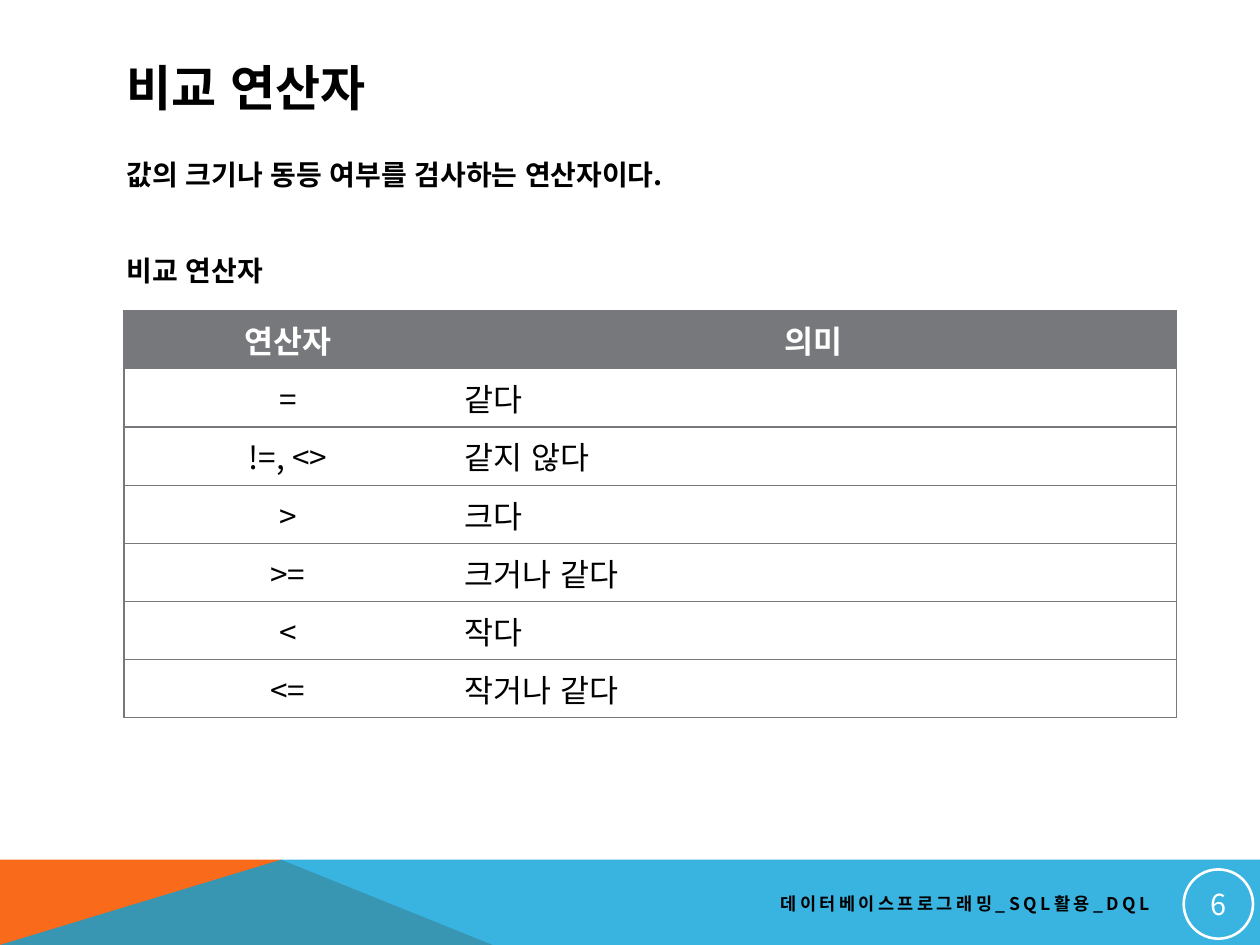
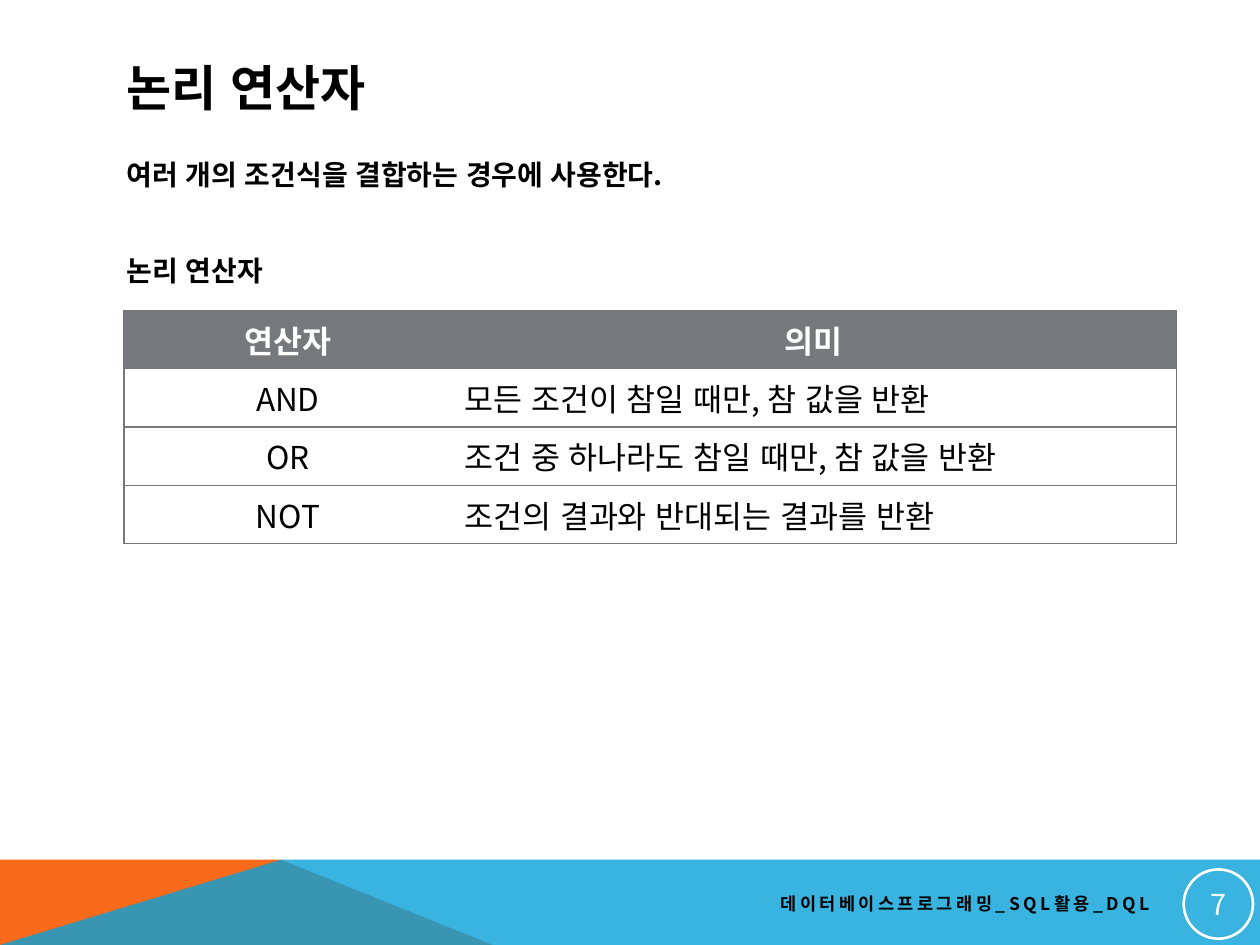
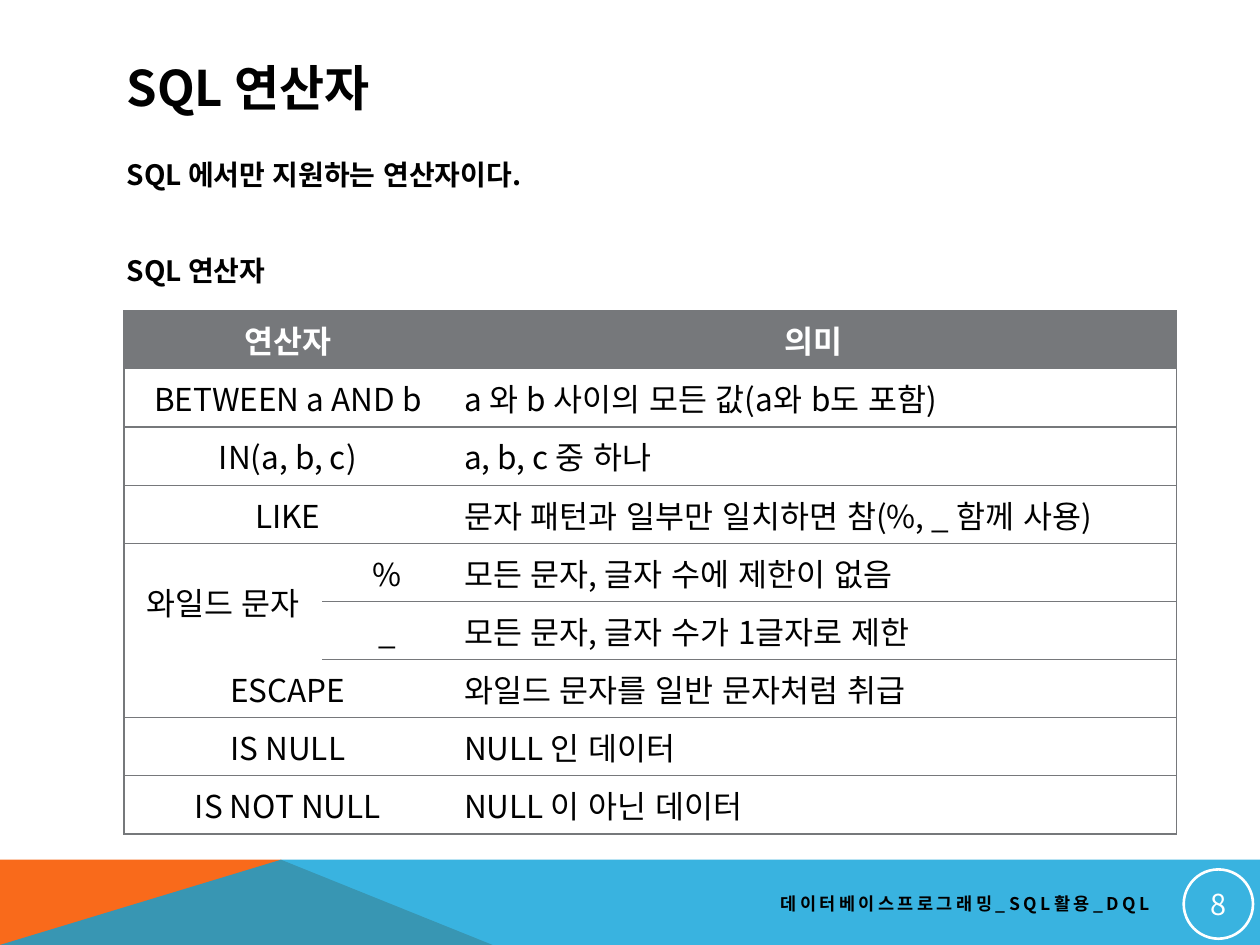
import dataclasses
import typing

import lxml.etree
import pptx
import pptx.dml.color
import pptx.enum.lang
import pptx.enum.shapes
import pptx.enum.text
import pptx.oxml.ns
import pptx.util

Pt = pptx.util.Pt
RGB = pptx.dml.color.RGBColor.from_string
Align = pptx.enum.text.PP_ALIGN
MIDDLE = pptx.enum.text.MSO_ANCHOR.MIDDLE
KOREAN = pptx.enum.lang.MSO_LANGUAGE_ID.KOREAN
qn = pptx.oxml.ns.qn


@dataclasses.dataclass(frozen=True)
class Theme:
    font: str = "Noto Sans CJK KR"
    black: str = "000000"
    white: str = "FFFFFF"
    gray: str = "76787B"
    orange: str = "F96A1B"
    blue: str = "08A1D9"
    title: float = 28
    body: float = 16
    cell: float = 18
    footer: float = 10
    number: float = 16.5
    rule: float = 0.75
    tight: float = 0.9


@dataclasses.dataclass(frozen=True)
class Band:
    points: tuple[tuple[float, float], ...]
    color: str
    alpha: int = 100


@dataclasses.dataclass(frozen=True)
class Page:
    """In rows, None joins a cell to its left neighbour, or in the first column to the cell above."""
    number: int
    title: str
    lead: str
    widths: tuple[float, ...]
    rows: tuple[tuple[typing.Optional[str], ...], ...]


THEME = Theme()
WIDE, HIGH, TOP, PEAK = 720, 540, 491.3, 160.6
FOOTER = "데이터베이스프로그래밍_SQL활용_DQL"
NO_STYLE = "{2D5ABB26-0587-4C30-8999-92F81FD0307C}"
LEFT, START, ROW = 70.9, 177.6, 33.25
BANDS = (
    Band(((0, HIGH), (0, TOP), (PEAK, TOP), (281.5, HIGH)), THEME.orange),
    Band(((0, HIGH), (PEAK, TOP), (WIDE, TOP), (WIDE, HIGH)), THEME.blue, 80),
)
PAGES = (
    Page(6, "비교 연산자", "값의 크기나 동등 여부를 검사하는 연산자이다.", (187.2, 414), (
        ("연산자", "의미"),
        ("=", "같다"),
        ("!=, <>", "같지 않다"),
        (">", "크다"),
        (">=", "크거나 같다"),
        ("<", "작다"),
        ("<=", "작거나 같다"),
    )),
    Page(7, "논리 연산자", "여러 개의 조건식을 결합하는 경우에 사용한다.", (187.2, 414), (
        ("연산자", "의미"),
        ("AND", "모든 조건이 참일 때만, 참 값을 반환"),
        ("OR", "조건 중 하나라도 참일 때만, 참 값을 반환"),
        ("NOT", "조건의 결과와 반대되는 결과를 반환"),
    )),
    Page(8, "SQL 연산자", "SQL 에서만 지원하는 연산자이다.", (113.2, 74, 414), (
        ("연산자", None, "의미"),
        ("BETWEEN a AND b", None, "a 와 b 사이의 모든 값(a와 b도 포함)"),
        ("IN(a, b, c)", None, "a, b, c 중 하나"),
        ("LIKE", None, "문자 패턴과 일부만 일치하면 참(%, _ 함께 사용)"),
        ("와일드 문자", "%", "모든 문자, 글자 수에 제한이 없음"),
        (None, "_", "모든 문자, 글자 수가 1글자로 제한"),
        ("ESCAPE", None, "와일드 문자를 일반 문자처럼 취급"),
        ("IS NULL", None, "NULL 인 데이터"),
        ("IS NOT NULL", None, "NULL 이 아닌 데이터"),
    )),
)


def write(para, text: str, *, size: float, color: str = THEME.black, bold: bool = False,
          align=Align.LEFT, before: float = 0, line: float = 1.0, track: float = 0) -> None:
    para.alignment = align
    para.space_before = Pt(before)
    para.line_spacing = line
    run = para.add_run()
    run.text = text
    font = run.font
    font.name, font.size, font.bold = THEME.font, Pt(size), bold
    font.language_id = KOREAN
    font.color.rgb = RGB(color)
    props = font._element
    props.set("kern", "1200")
    lxml.etree.SubElement(props, qn("a:ea"), typeface=THEME.font)
    if track:
        props.set("spc", str(round(track * 100)))


def add_box(slide, left: float, top: float, width: float, height: float):
    frame = slide.shapes.add_textbox(Pt(left), Pt(top), Pt(width), Pt(height)).text_frame
    frame.word_wrap = True
    return frame


def add_band(slide, band: Band) -> None:
    first, *rest = [(Pt(x), Pt(y)) for x, y in band.points]
    path = slide.shapes.build_freeform(*first)
    path.add_line_segments(rest, close=True)
    shape = path.convert_to_shape()
    shape.shadow.inherit = False
    shape.line.fill.background()
    shape.fill.solid()
    shape.fill.fore_color.rgb = RGB(band.color)
    if band.alpha < 100:
        tint = shape.element.spPr.find(f"{qn('a:solidFill')}/{qn('a:srgbClr')}")
        lxml.etree.SubElement(tint, qn("a:alpha"), val=str(band.alpha * 1000))


def add_badge(slide, number: int) -> None:
    oval = pptx.enum.shapes.MSO_SHAPE.OVAL
    badge = slide.shapes.add_shape(oval, Pt(676.4), Pt(496.8), Pt(39.6), Pt(39.6))
    badge.shadow.inherit = False
    badge.fill.background()
    badge.line.color.rgb = RGB(THEME.white)
    badge.line.width = Pt(1.5)
    frame = badge.text_frame
    frame.vertical_anchor = MIDDLE
    frame.margin_left = frame.margin_right = frame.margin_top = frame.margin_bottom = Pt(0.72)
    write(frame.paragraphs[0], str(number), size=THEME.number, color=THEME.white,
          align=Align.CENTER)


def rule_cell(cell, sides: str) -> None:
    """Draw the cell borders named by letters, in the order L, R, T, B."""
    props = cell._tc.get_or_add_tcPr()
    for side in sides:
        edge = lxml.etree.SubElement(props, qn(f"a:ln{side}"), w=str(int(Pt(THEME.rule))))
        fill = lxml.etree.SubElement(edge, qn("a:solidFill"))
        lxml.etree.SubElement(fill, qn("a:srgbClr"), val=THEME.gray)


def add_grid(slide, page: Page) -> None:
    rows, last = page.rows, len(page.widths) - 1
    frame = slide.shapes.add_table(len(rows), last + 1, Pt(LEFT), Pt(START),
                                   Pt(sum(page.widths)), Pt(ROW * len(rows)))
    next(frame.element.iter(qn("a:tableStyleId"))).text = NO_STYLE
    table = frame.table
    for col, width in zip(table.columns, page.widths):
        col.width = Pt(width)
    for r, row in enumerate(rows):
        table.rows[r].height = Pt(ROW)
        for c, text in enumerate(row):
            cell = table.cell(r, c)
            below = rows[r + 1][c] if r + 1 < len(rows) else ""
            tall = c == 0 and None in (text, below)
            rule_cell(cell, "L" * (c == 0) + "R" * (c == last)
                      + "T" * (r == 0) + "B" * (not tall))
            head = r == 0
            if head:
                cell.fill.solid()
                cell.fill.fore_color.rgb = RGB(THEME.gray)
            else:
                cell.fill.background()
            if text is None:
                mate = table.cell(r, c - 1) if c else table.cell(r - 1, c)
                mate.merge(cell)
                continue
            cell.vertical_anchor = MIDDLE
            write(cell.text_frame.paragraphs[0], text, size=THEME.cell, bold=head,
                  color=THEME.white if head else THEME.black,
                  align=Align.LEFT if c == last and not head else Align.CENTER)


def add_page(deck, page: Page) -> None:
    slide = deck.slides.add_slide(deck.slide_layouts[6])
    for band in BANDS:
        add_band(slide, band)
    title = add_box(slide, 65.3, 30, 592, 43.2)
    title.vertical_anchor = MIDDLE
    write(title.paragraphs[0], page.title, size=THEME.title, bold=True, line=THEME.tight)
    body = add_box(slide, 65.3, 88.6, 592, 87)
    write(body.paragraphs[0], page.lead, size=THEME.body, bold=True, line=THEME.tight)
    write(body.add_paragraph(), page.title, size=THEME.body, bold=True, line=THEME.tight,
          before=37.4)
    footer = add_box(slide, 291.8, 505.4, 372.2, 21.6)
    footer.vertical_anchor = MIDDLE
    write(footer.paragraphs[0], FOOTER, size=THEME.footer, bold=True, align=Align.RIGHT, track=2)
    add_badge(slide, page.number)
    add_grid(slide, page)


def main() -> None:
    deck = pptx.Presentation()
    deck.slide_width, deck.slide_height = Pt(WIDE), Pt(HIGH)
    for page in PAGES:
        add_page(deck, page)
    deck.save("out.pptx")


if __name__ == "__main__":
    main()
